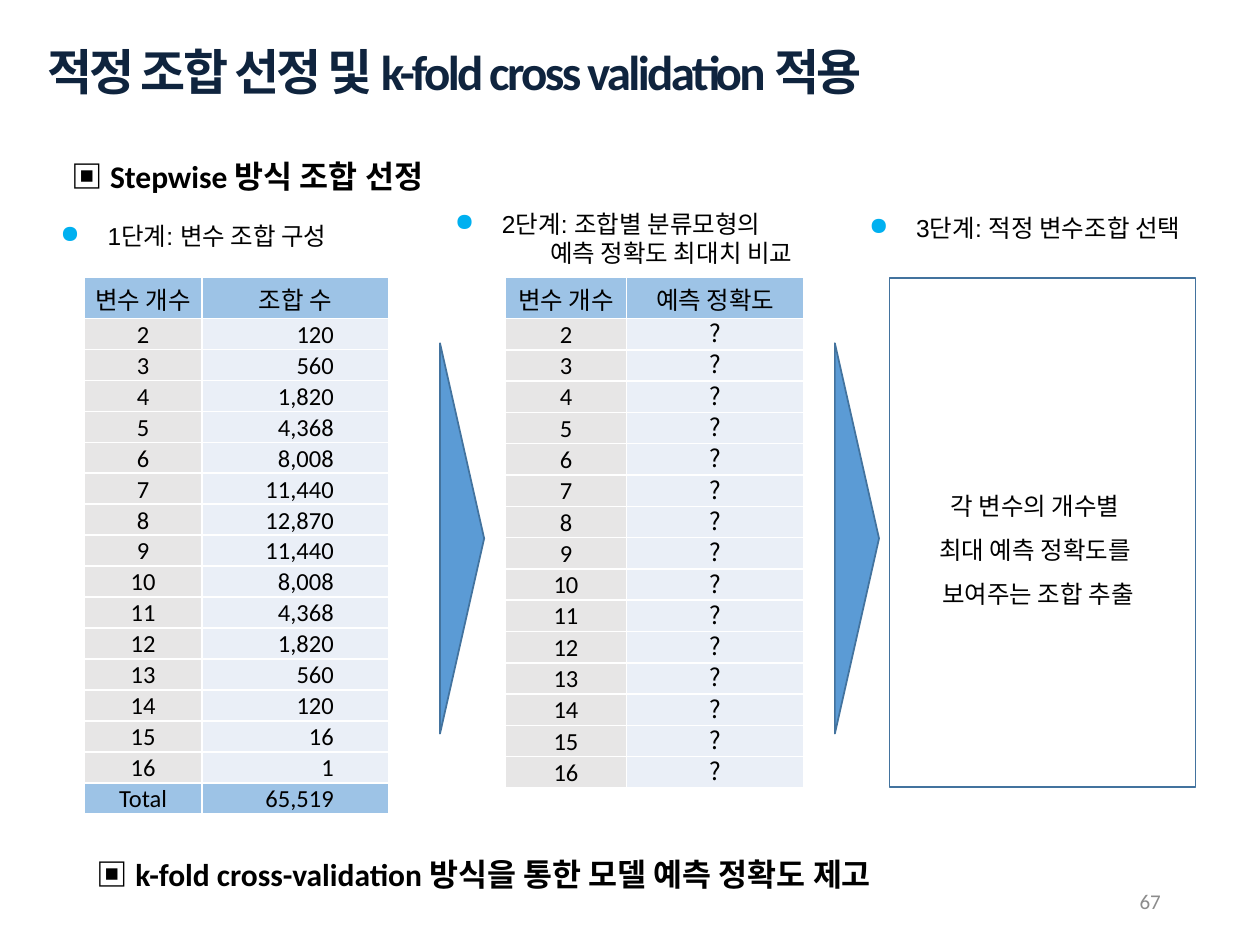
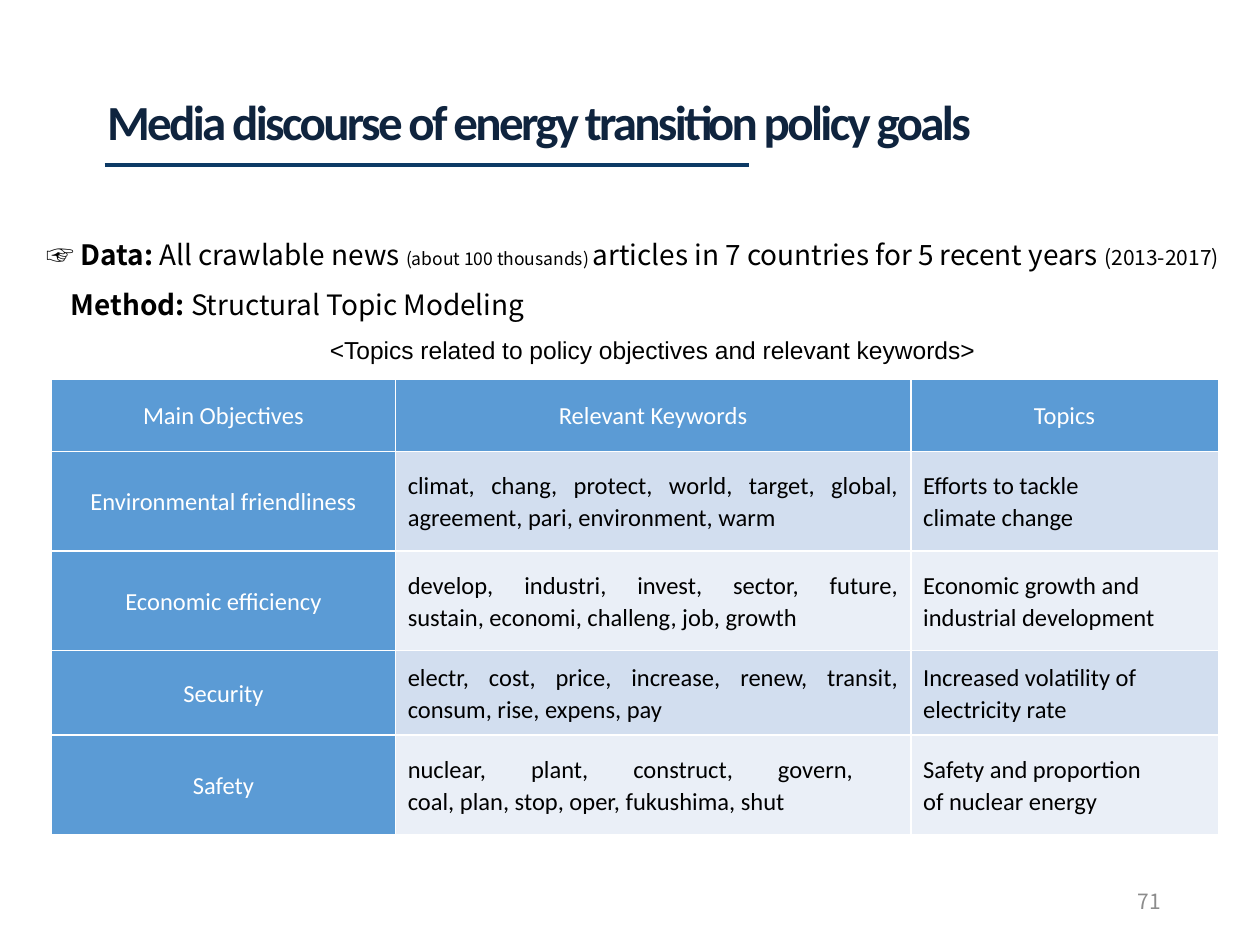
import lxml.etree
import pptx
import pptx.dml.color
import pptx.enum.shapes
import pptx.enum.text
import pptx.oxml.ns
import pptx.util

Cm = pptx.util.Cm
Pt = pptx.util.Pt
Align = pptx.enum.text.PP_ALIGN
Anchor = pptx.enum.text.MSO_ANCHOR
Shape = pptx.enum.shapes.MSO_SHAPE
qn = pptx.oxml.ns.qn

HUES = {
    "black": "000000", "white": "FFFFFF", "gray": "8C8C8C", "navy": "0F243E",
    "rule": "0D3A65", "blue": "5B9BD5", "edge": "43739E", "dot": "00B0F0",
    "head": "9DC3E6", "key": "E7E6E6", "pale": "EAEFF7", "band": "D2DEEF",
}
RGB = {name: pptx.dml.color.RGBColor.from_string(code) for name, code in HUES.items()}
NOTO = "Noto Sans CJK KR"


def write(page, box, lines, size=14, face="Calibri", hue="black", bold=False,
          align=Align.LEFT, space=None, anchor=Anchor.TOP, pads=(), dot=False):
    """Add a text box; a line is a string or a list of (text, font changes).

    pads holds (left, first-line) indents in cm; dot puts a bullet on line one.
    """
    frame = page.shapes.add_textbox(*map(Cm, box)).text_frame
    frame.word_wrap = True
    frame.vertical_anchor = anchor
    for i, line in enumerate(lines):
        para = frame.add_paragraph() if i else frame.paragraphs[0]
        props = para._p.get_or_add_pPr()
        if i < len(pads):
            props.set("marL", str(Cm(pads[i][0])))
            props.set("indent", str(Cm(pads[i][1])))
        if dot and i == 0:
            tint = lxml.etree.SubElement(props, qn("a:buClr"))
            lxml.etree.SubElement(tint, qn("a:srgbClr")).set("val", HUES["dot"])
            lxml.etree.SubElement(props, qn("a:buChar")).set("char", "●")
        para.alignment = align
        if space:
            para.line_spacing = space
        font = para.font
        font.size, font.name, font.bold = Pt(size), face, bold
        font.color.rgb = RGB[hue]
        for text, changes in [(line, {})] if isinstance(line, str) else line:
            run = para.add_run()
            run.text = text
            for name, value in changes.items():
                setattr(run.font, name, value)
    return frame


def grid(page, left, top, widths, heights, data, tints, pad, head=False):
    """Add a table of centred text; tints names the fill of each cell."""
    size = Cm(sum(widths)), Cm(sum(heights))
    table = page.shapes.add_table(len(data), len(widths), Cm(left), Cm(top), *size).table
    table.first_row, table.horz_banding = head, False
    for col, width in zip(table.columns, widths):
        col.width = Cm(width)
    for row, height, texts, fills in zip(table.rows, heights, data, tints):
        row.height = Cm(height)
        for cell, text, fill in zip(row.cells, texts, fills):
            cell.fill.solid()
            cell.fill.fore_color.rgb = RGB[fill]
            cell.vertical_anchor = Anchor.MIDDLE
            (cell.margin_left, cell.margin_top,
             cell.margin_right, cell.margin_bottom) = map(Cm, pad)
            para = cell.text_frame.paragraphs[0]
            para.text = text
            para.alignment = Align.CENTER
            font = para.font
            font.size, font.name, font.bold = Pt(14), "Calibri", False
            font.color.rgb = RGB["black"]
    return table


deck = pptx.Presentation()
deck.slide_width, deck.slide_height = Cm(25.4), Cm(19.05)

# Titles and page numbers
pages = []
for title, box, number, face in [
    ("적정 조합 선정 및 k-fold cross validation 적용", (0.71, 0.71, 21.34, 1.45), "67", "Calibri"),
    ("Media discourse of energy transition policy goals", (1.91, 1.73, 22.53, 1.45), "71", NOTO),
]:
    page = deck.slides.add_slide(deck.slide_layouts[6])
    frame = write(page, box, [title], size=28, hue="navy", bold=True)
    frame.paragraphs[0]._p.pPr.defRPr.set("spc", "-150")
    write(page, (17.93, 17.65, 5.72, 1.02), [number], size=12, face=face, hue="gray",
          align=Align.RIGHT, anchor=Anchor.MIDDLE)
    pages.append(page)
steps, media = pages

# Slide 1: headings and steps
for left, top, text in [
    (1.19, 2.84, "Stepwise 방식 조합 선정"),
    (1.7, 16.92, "k-fold cross-validation 방식을 통한 모델 예측 정확도 제고"),
]:
    write(steps, (left, top, 19.28, 1.4), [[("▣ ", {"name": NOTO}), (text, {})]],
          size=18, bold=True, anchor=Anchor.MIDDLE)

for box, lines, space in [
    ((0.97, 3.73, 8.15, 1.27), ["1단계: 변수 조합 구성"], 2.0),
    ((8.92, 4.09, 9.27, 2.06), ["2단계: 조합별 분류모형의", "예측 정확도 최대치 비교"], None),
    ((17.27, 4.17, 7.37, 1.45), ["3단계: 적정 변수조합 선택"], None),
]:
    write(steps, box, lines, face="Arial", align=Align.JUSTIFY, space=space,
          pads=[(0.95, -0.95), (1.92, 0)], dot=True)

# Slide 1: tables
counts = ["120", "560", "1,820", "4,368", "8,008", "11,440", "12,870", "11,440",
          "8,008", "4,368", "1,820", "560", "120", "16", "1"]
keys = [str(n) for n in range(2, 17)]
thin = (0.03, 0.03, 0.03, 0)
tall = [0.83] + [0.62] * 16
tints = [["head"] * 2] + [["key", "pale"]] * 15 + [["head"] * 2]

data = [("변수 개수", "조합 수"), *zip(keys, counts), ("Total", "65,519")]
sums = grid(steps, 1.7, 5.59, (2.37, 3.76), tall, data, tints, thin)
for r in range(1, len(data)):
    cell = sums.cell(r, 1)
    cell.margin_right = Cm(1.1)
    cell.text_frame.paragraphs[0].alignment = Align.RIGHT

data = [("변수 개수", "예측 정확도")] + [(key, "?") for key in keys]
rates = grid(steps, 10.19, 5.59, (2.44, 3.58), tall[:16], data, tints[:16], thin)
for r in range(len(data)):
    para = rates.cell(r, 1).text_frame.paragraphs[0]
    para.font.name = NOTO
    if r:
        para.line_spacing = Pt(17)

# Slide 1: result frame and arrows
shapes = [(Shape.RECTANGLE, (17.93, 5.61, 6.17, 10.26), 0)]
shapes += [(Shape.ISOSCELES_TRIANGLE, (left, 10.41, 7.87, 0.89), 90) for left in (5.38, 13.34)]
for kind, box, turn in shapes:
    shape = steps.shapes.add_shape(kind, *map(Cm, box))
    shape.shadow.inherit = False
    shape.rotation = turn
    shape.line.color.rgb = RGB["edge"]
    shape.line.width = Pt(1)
    if turn:
        shape.fill.solid()
        shape.fill.fore_color.rgb = RGB["blue"]
    else:
        shape.fill.background()
write(steps, (18.31, 9.47, 5.23, 2.95),
      ["각 변수의 개수별 ", "최대 예측 정확도를 ", "보여주는 조합 추출"],
      align=Align.CENTER, space=1.5)

# Slide 2: rule and text
rule = media.shapes.add_connector(pptx.enum.shapes.MSO_CONNECTOR.STRAIGHT,
                                  Cm(2.11), Cm(3.33), Cm(15.09), Cm(3.33))
rule.line.color.rgb = RGB["rule"]
rule.line.width = Pt(2.25)
lxml.etree.SubElement(rule._element.spPr, qn("a:effectLst"))

write(media, (0.69, 4.32, 24.41, 2.31), [
    [("☞ ", {}), ("Data:", {"bold": True}), (" All crawlable news ", {}),
     ("(about 100 thousands) ", {"size": Pt(10)}),
     ("articles in 7 countries for 5 recent years ", {}),
     ("(2013-2017)", {"size": Pt(12)})],
    [("Method:", {"bold": True}), (" Structural Topic Modeling", {})],
], size=16, face=NOTO, space=1.5, pads=[(0.49, -0.49), (0.49, 0)])
write(media, (4.83, 6.63, 16.66, 0.86),
      ["<Topics related to policy objectives and relevant keywords>"],
      face="Arial", align=Align.CENTER)

# Slide 2: table
data = [
    ("Main Objectives", "Relevant Keywords", "Topics"),
    ("Environmental friendliness",
     "climat, chang, protect, world, target, global,\vagreement, pari, environment, warm",
     "Efforts to tackle\vclimate change"),
    ("Economic efficiency",
     "develop, industri, invest, sector, future,\vsustain, economi, challeng, job, growth",
     "Economic growth and\vindustrial development"),
    ("Security",
     "electr, cost, price, increase, renew, transit,\vconsum, rise, expens, pay",
     "Increased volatility of\velectricity rate"),
    ("Safety",
     "nuclear, plant, construct, govern, \vcoal, plan, stop, oper, fukushima, shut",
     "Safety and proportion\vof nuclear energy"),
]
tints = [["blue"] * 3] + [["blue", "band", "band"], ["blue", "pale", "pale"]] * 2
goals = grid(media, 1.04, 7.65, (6.93, 10.39, 6.2), (1.45, 2.01, 2.01, 1.7, 2.01),
             data, tints, (0.25, 0.13, 0.25, 0.13), head=True)
sides = [Align.CENTER, Align.JUSTIFY, Align.LEFT]
for r, row in enumerate(goals.rows):
    for c, cell in enumerate(row.cells):
        para = cell.text_frame.paragraphs[0]
        para.line_spacing = 1.07
        if r == 0 or c == 0:
            para.font.color.rgb = RGB["white"]
        else:
            para.alignment = sides[c]

deck.save("out.pptx")
